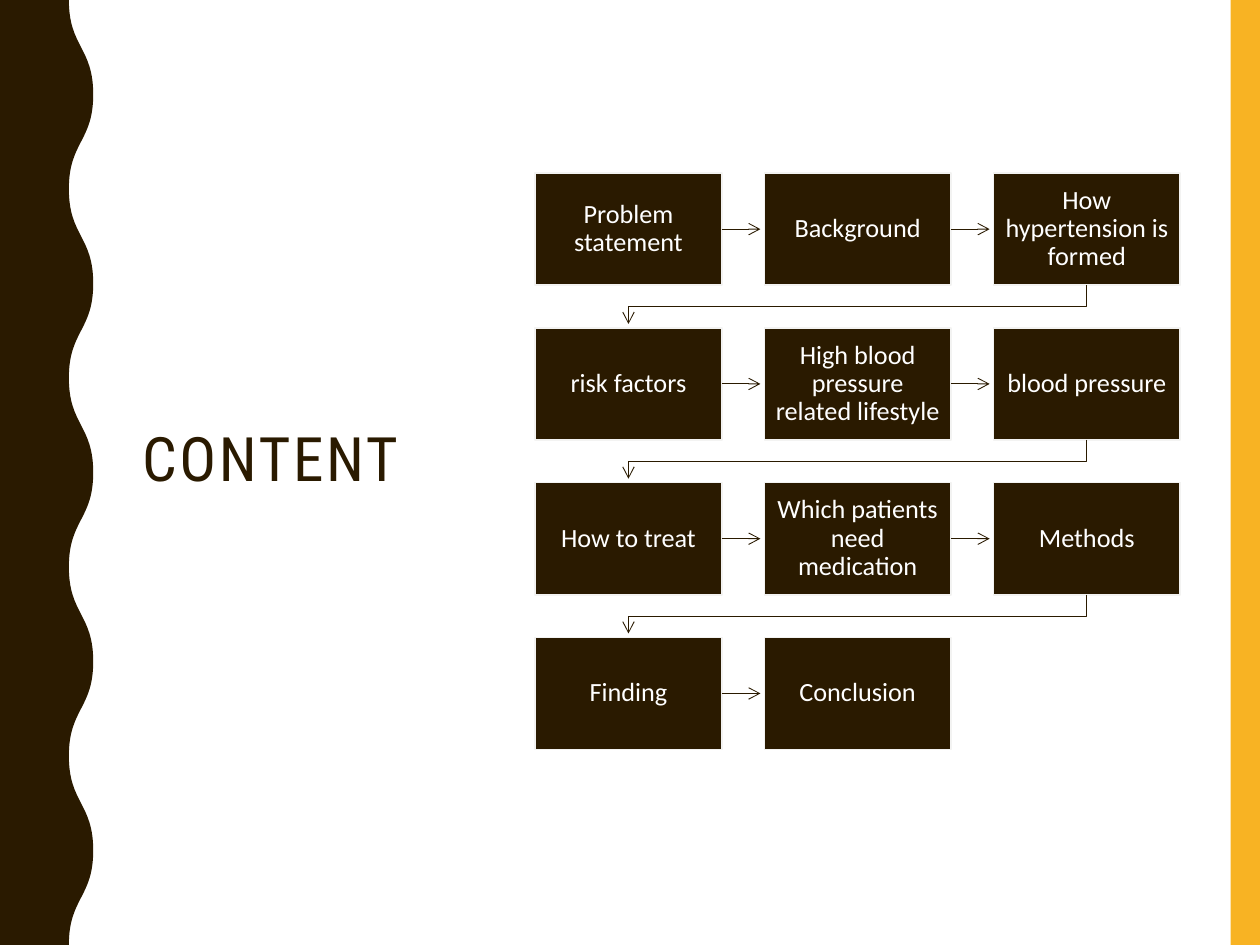
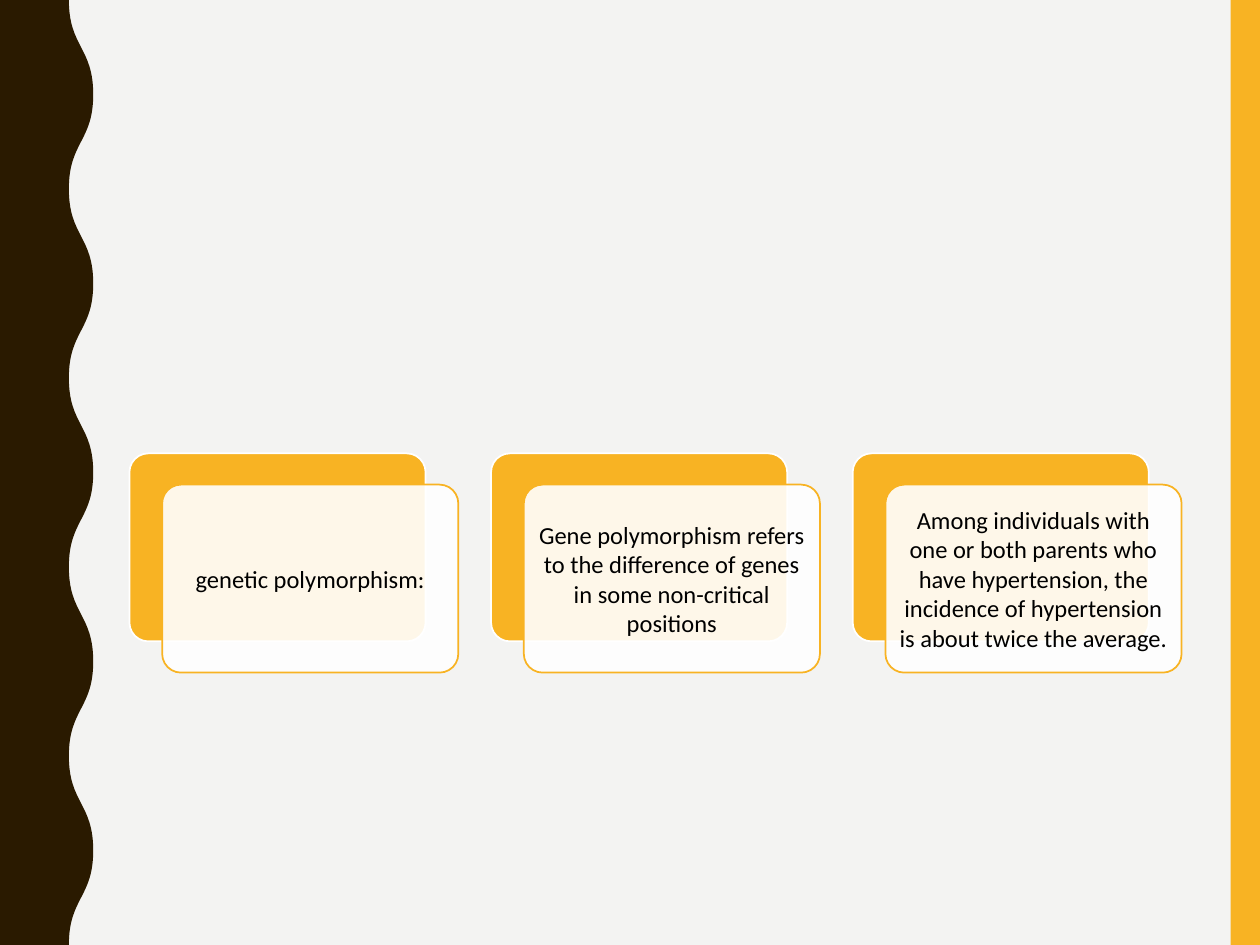
from lxml import etree
from pptx import Presentation
from pptx import util as u
from pptx.dml.color import RGBColor
from pptx.enum import shapes, text
from pptx.oxml.ns import qn

Cm, Pt = u.Cm, u.Pt

BROWN = RGBColor(0x2A, 0x1A, 0x00)
AMBER = RGBColor(0xF8, 0xB3, 0x23)
PALE = RGBColor(0xF3, 0xF3, 0xF2)
WHITE = RGBColor(0xFF, 0xFF, 0xFF)
BLACK = RGBColor(0x00, 0x00, 0x00)
BODY_FONT, TITLE_FONT = "Calibri", "Roboto Condensed"
SLIDE_W, SLIDE_H = 25.4, 19.05


def write(sp, words, size, color, font=BODY_FONT, align=text.PP_ALIGN.CENTER,
          spacing=1.0, tracking=0, inset=None):
    tf = sp.text_frame
    tf.word_wrap = True
    tf.vertical_anchor = text.MSO_ANCHOR.MIDDLE
    if inset:
        tf.margin_left = tf.margin_right = Cm(inset[0])
        tf.margin_top = tf.margin_bottom = Cm(inset[1])
    p = tf.paragraphs[0]
    p.alignment, p.line_spacing = align, spacing
    r = p.add_run()
    r.text = words
    r.font.name, r.font.size, r.font.color.rgb = font, Pt(size), color
    if tracking:
        r._r.get_or_add_rPr().set("spc", str(int(tracking * 100)))


def style(sp, fill=None, line=None, width=1, opacity=100, arrow=False):
    props = sp._element.spPr
    if fill is not None:
        sp.fill.solid()
        sp.fill.fore_color.rgb = fill
        if opacity < 100:
            tint = props.find(qn("a:solidFill")).find(qn("a:srgbClr"))
            etree.SubElement(tint, qn("a:alpha")).set("val", str(opacity * 1000))
    elif hasattr(sp, "fill"):
        sp.fill.background()
    if line is None:
        sp.line.fill.background()
    else:
        sp.line.color.rgb = line
        sp.line.width = Pt(width)
    if arrow:
        etree.SubElement(props.find(qn("a:ln")), qn("a:tailEnd")).set("type", "arrow")
    etree.SubElement(props, qn("a:effectLst"))


prs = Presentation()
prs.slide_width, prs.slide_height = Cm(SLIDE_W), Cm(SLIDE_H)
content = prs.slides.add_slide(prs.slide_layouts[5])
genes = prs.slides.add_slide(prs.slide_layouts[6])
for s, background in ((content, WHITE), (genes, PALE)):
    s.background.fill.solid()
    s.background.fill.fore_color.rgb = background

# Amber band and wavy brown edge, shared through the slide master
TROUGH, CREST, HALF_WAVES = 1.39, 1.88, 10
band = content.shapes.add_shape(shapes.MSO_SHAPE.RECTANGLE,
                                Cm(24.81), 0, Cm(0.59), Cm(SLIDE_H))
style(band, AMBER)
nodes = [(Cm(CREST if i % 2 else TROUGH), Cm(i * SLIDE_H / HALF_WAVES))
         for i in range(HALF_WAVES + 1)]
outline = content.shapes.build_freeform(*nodes[0])
outline.add_line_segments(nodes[1:] + [(0, Cm(SLIDE_H)), (0, 0)])
edge = outline.convert_to_shape()
style(edge, BROWN)

# Bend the wave's straight segments into curves
segments = list(edge._element.iter(qn("a:lnTo")))
for segment, (x0, y0), (x1, y1) in zip(segments, nodes, nodes[1:]):
    segment.tag = qn("a:cubicBezTo")
    middle = (y0 + y1) // 2
    for k, x in enumerate((x0, x1)):
        control = etree.Element(qn("a:pt"), x=str(x), y=str(middle))
        segment.insert(k, control)

master_tree = prs.slide_master.element.cSld.spTree
for k, sp in enumerate((band, edge)):
    master_tree.insert(2 + k, sp._element)

# Slide 1: title
title = content.shapes.title
title.left, title.top, title.width, title.height = Cm(2.61), Cm(1.78), Cm(7.06), Cm(15.04)
write(title, "CONTENT", 35, BROWN, font=TITLE_FONT, align=text.PP_ALIGN.LEFT,
      spacing=0.9, tracking=1.5)

# Slide 1: topics in rows of three
TOPICS = [
    "Problem statement", "Background", "How hypertension is formed",
    "risk factors", "High blood pressure related lifestyle", "blood pressure",
    "How to treat", "Which patients need medication", "Methods",
    "Finding", "Conclusion",
]
COLS = 3
BOX_LEFT, BOX_TOP, BOX_W, BOX_H = 10.79, 3.49, 3.76, 2.26
COL_STEP, ROW_STEP, ARROW = 4.62, 3.12, 0.78

for i, topic in enumerate(TOPICS):
    row, col = divmod(i, COLS)
    x, y = BOX_LEFT + col * COL_STEP, BOX_TOP + row * ROW_STEP
    box = content.shapes.add_shape(shapes.MSO_SHAPE.RECTANGLE,
                                   Cm(x), Cm(y), Cm(BOX_W), Cm(BOX_H))
    style(box, BROWN, PALE)
    write(box, topic, 15, WHITE, spacing=0.9, inset=(0.18, 0.2))
    if i == len(TOPICS) - 1:
        break
    if col < COLS - 1:
        right, middle = x + BOX_W, y + BOX_H / 2
        link = content.shapes.add_connector(shapes.MSO_CONNECTOR.STRAIGHT, Cm(right),
                                            Cm(middle), Cm(right + ARROW), Cm(middle))
        link.begin_connect(box, 3)
        link.end_y = link.begin_y
    else:
        center, first, bottom = x + BOX_W / 2, BOX_LEFT + BOX_W / 2, y + BOX_H
        turn = content.shapes.build_freeform(Cm(center), Cm(bottom))
        turn.add_line_segments([(Cm(center), Cm(bottom + 0.43)),
                                (Cm(first), Cm(bottom + 0.43)),
                                (Cm(first), Cm(bottom + ARROW))], close=False)
        link = turn.convert_to_shape()
    style(link, line=BROWN, width=0.5, arrow=True)

# Slide 2: three pairs of overlapping cards
FACTS = [
    "genetic polymorphism:",
    "Gene polymorphism refers to the difference of genes in some non-critical positions",
    "Among individuals with one or both parents who have hypertension, "
    "the incidence of hypertension is about twice the average.",
]
CARD_LEFT, CARD_TOP, CARD_W, CARD_H, CARD_STEP = 2.61, 9.14, 5.97, 3.79, 7.29

for i, fact in enumerate(FACTS):
    for shift_x, shift_y, fill, line, opacity in ((0, 0, AMBER, WHITE, 100),
                                                  (0.66, 0.63, WHITE, AMBER, 90)):
        card = genes.shapes.add_shape(
            shapes.MSO_SHAPE.ROUNDED_RECTANGLE, Cm(CARD_LEFT + i * CARD_STEP + shift_x),
            Cm(CARD_TOP + shift_y), Cm(CARD_W), Cm(CARD_H))
        card.adjustments[0] = 0.1
        style(card, fill, line, opacity=opacity)
    write(card, fact, 14, BLACK, inset=(0.15, 0.15))

prs.save("out.pptx")
